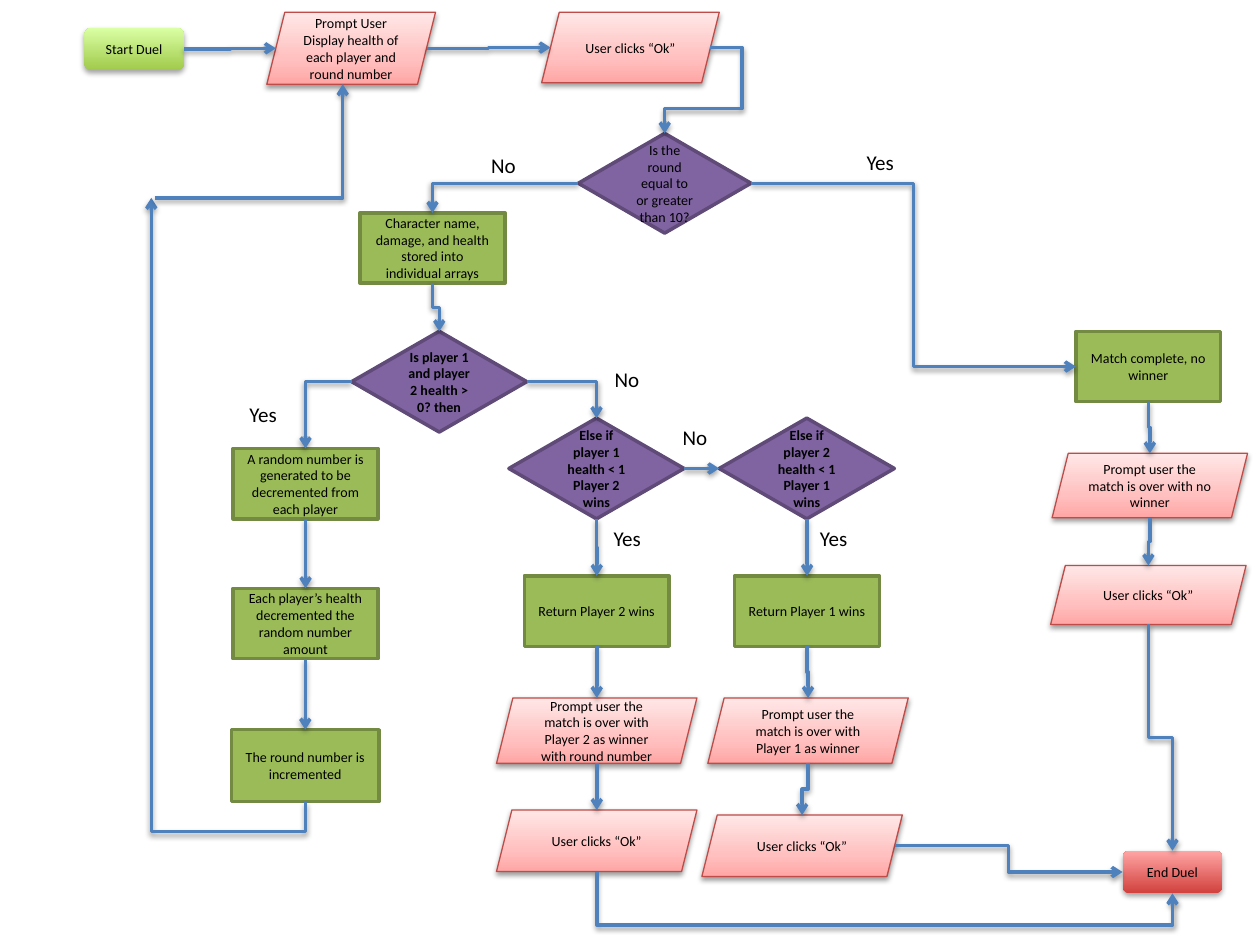
from dataclasses import dataclass
from typing import NamedTuple

from lxml.etree import SubElement
from pptx import Presentation
from pptx.dml.color import RGBColor
from pptx.enum.shapes import MSO_CONNECTOR, MSO_SHAPE
from pptx.enum.text import MSO_AUTO_SIZE, PP_ALIGN
from pptx.oxml.ns import qn
from pptx.util import Cm, Pt

FONT = "Calibri"
COLORS = {
    "text": "000000", "arrow": "4F81BD", "shadow": "000000",
    "step": "9BBB59", "step edge": "738A42",
    "choice": "8064A2", "choice edge": "5F4A78",
    "start low": "A0CA4A", "start high": "DAFFA5",
    "end low": "D1403C", "end high": "FFA6A5",
    "screen low": "FFA6A5", "screen mid": "FFC0BF", "screen high": "FFE7E7",
    "screen edge": "BF4C48",
}


@dataclass(frozen=True)
class Style:
    outline: MSO_SHAPE
    fill: tuple[tuple[int, str], ...]
    edge: str = ""
    edge_width: float = 0
    shadow_alpha: int = 0
    shadow_distance: float = 0


STYLES = {
    "start": Style(MSO_SHAPE.ROUNDED_RECTANGLE,
                   ((0, "start low"), (100, "start high")), "", 0, 35, 1.8),
    "end": Style(MSO_SHAPE.ROUNDED_RECTANGLE,
                 ((0, "end low"), (100, "end high")), "", 0, 35, 1.8),
    "screen": Style(MSO_SHAPE.PARALLELOGRAM,
                    ((0, "screen low"), (35, "screen mid"), (100, "screen high")),
                    "screen edge", 0.75, 38, 1.6),
    "step": Style(MSO_SHAPE.RECTANGLE, ((0, "step"),), "step edge", 2),
    "choice": Style(MSO_SHAPE.DIAMOND, ((0, "choice"),), "choice edge", 2),
}


@dataclass(frozen=True)
class Node:
    style: str
    text: str
    left: float
    top: float
    width: float = 2.92
    height: float = 1.42
    bold: bool = False

    def port(self, side: str) -> "Point":
        slant = min(self.width, self.height) / 8 if self.style == "screen" else 0
        middle_x = self.left + self.width / 2
        middle_y = self.top + self.height / 2
        return {
            "left": Point(self.left + slant, middle_y),
            "right": Point(self.left + self.width - slant, middle_y),
            "top": Point(middle_x, self.top),
            "bottom": Point(middle_x, self.top + self.height),
        }[side]


class Point(NamedTuple):
    x: float
    y: float


class Link(NamedTuple):
    source: str
    exit: str
    target: str
    entry: str
    preset: str = "bentConnector3"
    bends: tuple[float, ...] = (0.5,)


class Label(NamedTuple):
    text: str
    left: float
    top: float


CLICK = "User clicks “Ok”"
NODES = {
    "start": Node("start", "Start Duel", 1.7, 0.56, 2.01, 0.86),
    "status": Node("screen", "Prompt User\nDisplay health of each player and round number",
                   5.38, 0.25, 3.4, 1.45),
    "status ok": Node("screen", CLICK, 10.92, 0.25, 3.58),
    "round limit": Node("choice", "Is the round equal to or greater than 10?",
                        11.66, 2.69, 3.48, 2.01),
    "arrays": Node("step", "Character name, damage, and health stored into individual arrays",
                   7.26, 4.29),
    "alive": Node("choice", "Is player 1 and player 2 health > 0? then",
                  7.09, 6.68, 3.53, 2.03, True),
    "random": Node("step", "A random number is generated to be decremented from each player",
                   4.7, 9.04),
    "decrement": Node("step", "Each player’s health decremented the random number amount",
                      4.7, 11.86),
    "increment": Node("step", "The round number is incremented", 4.67, 14.71, 2.97, 1.45),
    "p1 dead": Node("choice", "Else if player 1 health < 1\nPlayer 2 wins",
                    10.26, 8.43, 3.53, 2.03, True),
    "p2 dead": Node("choice", "Else if player 2 health < 1\nPlayer 1 wins",
                    14.5, 8.43, 3.53, 2.03, True),
    "p2 wins": Node("step", "Return Player 2 wins", 10.57, 11.61),
    "p1 wins": Node("step", "Return Player 1 wins", 14.81, 11.61),
    "p2 prompt": Node("screen",
                      "Prompt user the match is over with Player 2 as winner with round number",
                      10.01, 14.07, 4.04, 1.32),
    "p1 prompt": Node("screen", "Prompt user the match is over with Player 1 as winner",
                      14.27, 14.07, 4.04, 1.32),
    "p2 ok": Node("screen", CLICK, 10.01, 16.33, 4.04, 1.24),
    "p1 ok": Node("screen", CLICK, 14.15, 16.43, 4.04, 1.24),
    "draw": Node("step", "Match complete, no winner", 21.69, 6.68),
    "draw prompt": Node("screen", "Prompt user the match is over with no winner",
                        21.21, 9.14, 3.94, 1.3),
    "draw ok": Node("screen", CLICK, 21.18, 11.4, 3.94, 1.19),
    "end": Node("end", "End Duel", 22.63, 17.15, 2.01, 0.86),
}
DOWNWARD = [
    ("arrays", "alive"), ("decrement", "increment"),
    ("p1 dead", "p2 wins"), ("p2 wins", "p2 prompt"), ("p2 prompt", "p2 ok"),
    ("p2 dead", "p1 wins"), ("p1 wins", "p1 prompt"), ("p1 prompt", "p1 ok"),
    ("draw", "draw prompt"), ("draw prompt", "draw ok"), ("draw ok", "end"),
]
RIGHTWARD = [
    ("start", "status"), ("status", "status ok"), ("round limit", "draw"),
    ("p1 dead", "p2 dead"), ("p1 ok", "end"),
]
LINKS = [
    *(Link(source, "bottom", target, "top") for source, target in DOWNWARD),
    *(Link(source, "right", target, "left") for source, target in RIGHTWARD),
    Link("random", "bottom", "decrement", "top", "line", ()),
    Link("round limit", "left", "arrays", "top", "bentConnector2", ()),
    Link("alive", "left", "random", "top", "bentConnector2", ()),
    Link("alive", "right", "p1 dead", "top", "bentConnector2", ()),
    Link("status ok", "right", "round limit", "top", "bentConnector4", (-0.69, 0.71)),
    Link("p2 ok", "bottom", "end", "bottom", bends=(2.45,)),
]
LABELS = [
    Label("Yes", 4.78, 7.98), Label("No", 9.65, 2.95), Label("Yes", 17.22, 2.9),
    Label("No", 12.14, 7.26), Label("No", 13.51, 8.43),
    Label("Yes", 12.12, 10.46), Label("Yes", 16.28, 10.46),
]


def color(name: str) -> RGBColor:
    return RGBColor.from_string(COLORS[name])


def format_text(frame, size: float, align: PP_ALIGN, bold: bool = False) -> None:
    for paragraph in frame.paragraphs:
        paragraph.alignment = align
        for run in paragraph.runs:
            run.font.name, run.font.size, run.font.bold = FONT, Pt(size), bold
            run.font.color.rgb = color("text")


def add_shadow(effects, alpha: int, distance: float) -> None:
    shadow = SubElement(effects, qn("a:outerShdw"), blurRad=str(Pt(3.1)),
                        dist=str(Pt(distance)), dir="5400000", rotWithShape="0")
    tint = SubElement(shadow, qn("a:srgbClr"), val=COLORS["shadow"])
    SubElement(tint, qn("a:alpha"), val=str(alpha * 1000))


def fill_shape(shape, stops: tuple[tuple[int, str], ...]) -> None:
    if len(stops) == 1:
        shape.fill.solid()
        shape.fill.fore_color.rgb = color(stops[0][1])
        return
    shape.fill.gradient()
    shape.fill.gradient_angle = 90
    ramp = shape.element.spPr.find(qn("a:gradFill")).find(qn("a:gsLst"))
    for stop in list(ramp):
        ramp.remove(stop)
    for position, name in stops:
        stop = SubElement(ramp, qn("a:gs"), pos=str(position * 1000))
        SubElement(stop, qn("a:srgbClr"), val=COLORS[name])


def draw_node(slide, node: Node) -> None:
    style = STYLES[node.style]
    shape = slide.shapes.add_shape(style.outline, Cm(node.left), Cm(node.top),
                                   Cm(node.width), Cm(node.height))
    fill_shape(shape, style.fill)
    if style.edge:
        shape.line.color.rgb = color(style.edge)
        shape.line.width = Pt(style.edge_width)
    else:
        shape.line.fill.background()
    shape.shadow.inherit = False
    if style.shadow_alpha:
        add_shadow(shape.element.spPr.find(qn("a:effectLst")),
                   style.shadow_alpha, style.shadow_distance)
    shape.text_frame.text = node.text
    format_text(shape.text_frame, 8, PP_ALIGN.CENTER, node.bold)


def draw_arrow(slide, start: Point, end: Point, preset: str,
               bends: tuple[float, ...] = (), vertical: bool = False) -> None:
    run, rise = end.x - start.x, end.y - start.y
    down = rise > 0
    if vertical:
        run, rise = abs(rise), -run if down else run
    middle = Point((start.x + end.x) / 2, (start.y + end.y) / 2)
    arrow = slide.shapes.add_connector(
        MSO_CONNECTOR.ELBOW, Cm(middle.x - run / 2), Cm(middle.y - rise / 2),
        Cm(middle.x + run / 2), Cm(middle.y + rise / 2))
    properties = arrow.element.spPr
    if vertical:
        properties.find(qn("a:xfrm")).set("rot", "5400000" if down else "16200000")
    geometry = properties.find(qn("a:prstGeom"))
    geometry.set("prst", preset)
    for number, bend in enumerate(bends, 1):
        SubElement(geometry.find(qn("a:avLst")), qn("a:gd"), name=f"adj{number}",
                   fmla=f"val {round(bend * 100000)}")
    arrow.line.color.rgb = color("arrow")
    arrow.line.width = Pt(2)
    SubElement(properties.find(qn("a:ln")), qn("a:tailEnd"), type="arrow")
    add_shadow(SubElement(properties, qn("a:effectLst")), 38, 1.6)


def draw_link(slide, link: Link) -> None:
    vertical = link.preset == "bentConnector3" and link.exit == "bottom"
    draw_arrow(slide, NODES[link.source].port(link.exit),
               NODES[link.target].port(link.entry), link.preset, link.bends, vertical)


def draw_label(slide, label: Label) -> None:
    box = slide.shapes.add_textbox(Cm(label.left), Cm(label.top), Cm(1.35), Cm(0.76))
    box.text_frame.word_wrap = True
    box.text_frame.auto_size = MSO_AUTO_SIZE.SHAPE_TO_FIT_TEXT
    box.text_frame.text = label.text
    format_text(box.text_frame, 12, PP_ALIGN.LEFT)


def main() -> None:
    deck = Presentation()
    deck.slide_width, deck.slide_height = Cm(25.4), Cm(19.05)
    slide = deck.slides.add_slide(deck.slide_layouts[6])
    for node in NODES.values():
        draw_node(slide, node)
    for link in LINKS:
        draw_link(slide, link)
    draw_arrow(slide, NODES["increment"].port("bottom"), Point(3.05, 3.99),
               "bentConnector3", (-0.05,), True)
    draw_arrow(slide, Point(3.12, 3.99), Point(6.91, 1.7), "bentConnector2")
    for label in LABELS:
        draw_label(slide, label)
    deck.save("out.pptx")


if __name__ == "__main__":
    main()
